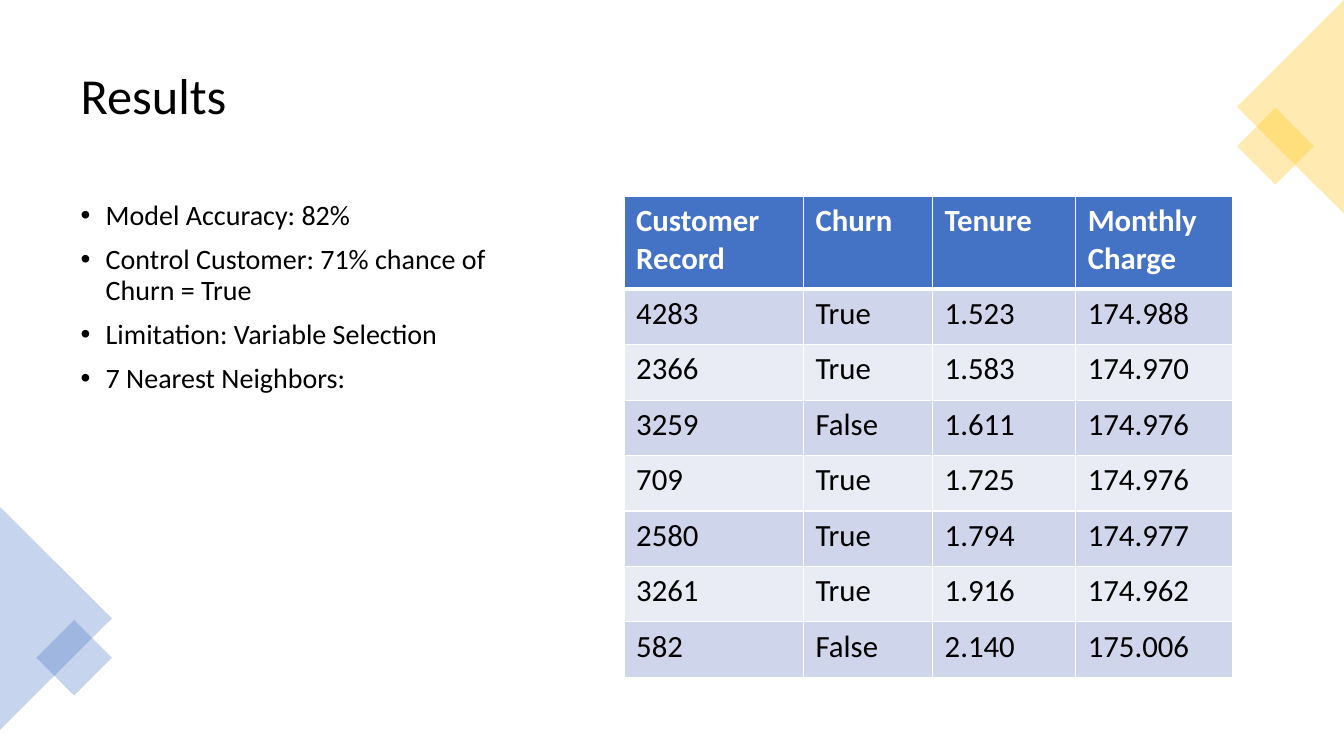
from lxml import etree
from pptx import Presentation
from pptx import util as u
from pptx.dml import color
from pptx.enum import shapes, text
from pptx.oxml import ns

COLORS = {
    "blue": "4472C4",
    "gold": "FFC000",
    "white": "FFFFFF",
    "black": "000000",
    "band_dark": "CFD5EA",
    "band_light": "E9EBF5",
}
FINDINGS = [
    "Model Accuracy: 82%",
    "Control Customer: 71% chance of Churn = True",
    "Limitation: Variable Selection",
    "7 Nearest Neighbors:",
]
NEIGHBORS = [
    ("Customer Record", "Churn", "Tenure", "Monthly Charge"),
    ("4283", "True", "1.523", "174.988"),
    ("2366", "True", "1.583", "174.970"),
    ("3259", "False", "1.611", "174.976"),
    ("709", "True", "1.725", "174.976"),
    ("2580", "True", "1.794", "174.977"),
    ("3261", "True", "1.916", "174.962"),
    ("582", "False", "2.140", "175.006"),
]
COLUMN_WIDTHS = [1.78, 1.28, 1.42, 1.56]
HEADER_HEIGHT, ROW_HEIGHT = 0.92, 0.55


def rgb(name):
    return color.RGBColor.from_string(COLORS[name])


class ResultsSlide:
    font = "Calibri"

    def __init__(self, deck):
        self.slide = deck.slides.add_slide(deck.slide_layouts[5])

    def add_words(self, paragraph, words, size, tint="black", bold=False):
        run = paragraph.add_run()
        run.text = words
        run.font.name = self.font
        run.font.size = u.Pt(size)
        run.font.bold = bold
        run.font.color.rgb = rgb(tint)

    def title(self, words, left, top, width, height):
        heading = self.slide.shapes.title
        heading.left, heading.top = u.Inches(left), u.Inches(top)
        heading.width, heading.height = u.Inches(width), u.Inches(height)
        frame = heading.text_frame
        frame.word_wrap = True
        frame.vertical_anchor = text.MSO_ANCHOR.MIDDLE
        paragraph = frame.paragraphs[0]
        paragraph.alignment = text.PP_ALIGN.LEFT
        paragraph.line_spacing = 0.9
        self.add_words(paragraph, words, 36)

    def bullets(self, items, left, top, width, height):
        frame = self.slide.shapes.add_textbox(
            u.Inches(left), u.Inches(top), u.Inches(width), u.Inches(height)
        ).text_frame
        frame.word_wrap = True
        for index, item in enumerate(items):
            paragraph = frame.add_paragraph() if index else frame.paragraphs[0]
            properties = paragraph._p.get_or_add_pPr()
            properties.set("marL", str(u.Inches(0.25)))
            properties.set("indent", str(-u.Inches(0.25)))
            etree.SubElement(properties, ns.qn("a:buFont"), typeface="Arial")
            etree.SubElement(properties, ns.qn("a:buChar"), char="•")
            paragraph.line_spacing = 0.9
            if index:
                paragraph.space_before = u.Pt(10)
            self.add_words(paragraph, item, 20)

    def ornament(self, kind, tint, rotation, left, top, width, height):
        ornament = self.slide.shapes.add_shape(
            kind, u.Inches(left), u.Inches(top), u.Inches(width), u.Inches(height)
        )
        ornament.rotation = rotation
        ornament.shadow.inherit = False
        ornament.line.fill.background()
        ornament.fill.solid()
        ornament.fill.fore_color.rgb = rgb(tint)
        tone = ornament._element.spPr.find(".//" + ns.qn("a:srgbClr"))
        etree.SubElement(tone, ns.qn("a:alpha"), val="30000")

    def borders(self, cell, top, bottom):
        properties = cell._tc.get_or_add_tcPr()
        for side, points in (("L", 1), ("R", 1), ("T", top), ("B", bottom)):
            line = etree.SubElement(
                properties, ns.qn("a:ln" + side), w=str(u.Pt(points))
            )
            fill = etree.SubElement(line, ns.qn("a:solidFill"))
            etree.SubElement(fill, ns.qn("a:srgbClr"), val=COLORS["white"])

    def table(self, records, left, top):
        heights = [HEADER_HEIGHT] + [ROW_HEIGHT] * (len(records) - 1)
        table = self.slide.shapes.add_table(
            len(records), len(COLUMN_WIDTHS), u.Inches(left), u.Inches(top),
            u.Inches(sum(COLUMN_WIDTHS)), u.Inches(sum(heights)),
        ).table
        for column, width in zip(table.columns, COLUMN_WIDTHS):
            column.width = u.Inches(width)
        for index, record in enumerate(records):
            table.rows[index].height = u.Inches(heights[index])
            header = index == 0
            band = "blue" if header else "band_dark" if index % 2 else "band_light"
            for cell, value in zip(table.rows[index].cells, record):
                cell.margin_left = cell.margin_right = u.Inches(0.12)
                cell.margin_top = cell.margin_bottom = u.Inches(0.06)
                self.borders(cell, 3 if index == 1 else 1, 3 if header else 1)
                cell.fill.solid()
                cell.fill.fore_color.rgb = rgb(band)
                tint = "white" if header else "black"
                self.add_words(cell.text_frame.paragraphs[0], value, 22, tint, header)


def main():
    deck = Presentation()
    deck.slide_width, deck.slide_height = u.Inches(13.33), u.Inches(7.5)
    results = ResultsSlide(deck)
    results.title("Results", 0.7, 0.35, 11.93, 1.24)
    results.bullets(FINDINGS, 0.7, 1.95, 4.38, 4.81)
    triangle = shapes.MSO_SHAPE.ISOSCELES_TRIANGLE
    square = shapes.MSO_SHAPE.RECTANGLE
    results.ornament(triangle, "blue", 90, -0.55, 5.58, 2.21, 1.11)
    results.ornament(square, "blue", 45, 0.47, 6.26, 0.53, 0.53)
    results.ornament(square, "gold", 45, 12.38, 1.18, 0.54, 0.54)
    results.ornament(triangle, "gold", 270, 11.74, 0.53, 2.12, 1.06)
    results.table(NEIGHBORS, 6.19, 1.95)
    deck.save("out.pptx")


if __name__ == "__main__":
    main()
